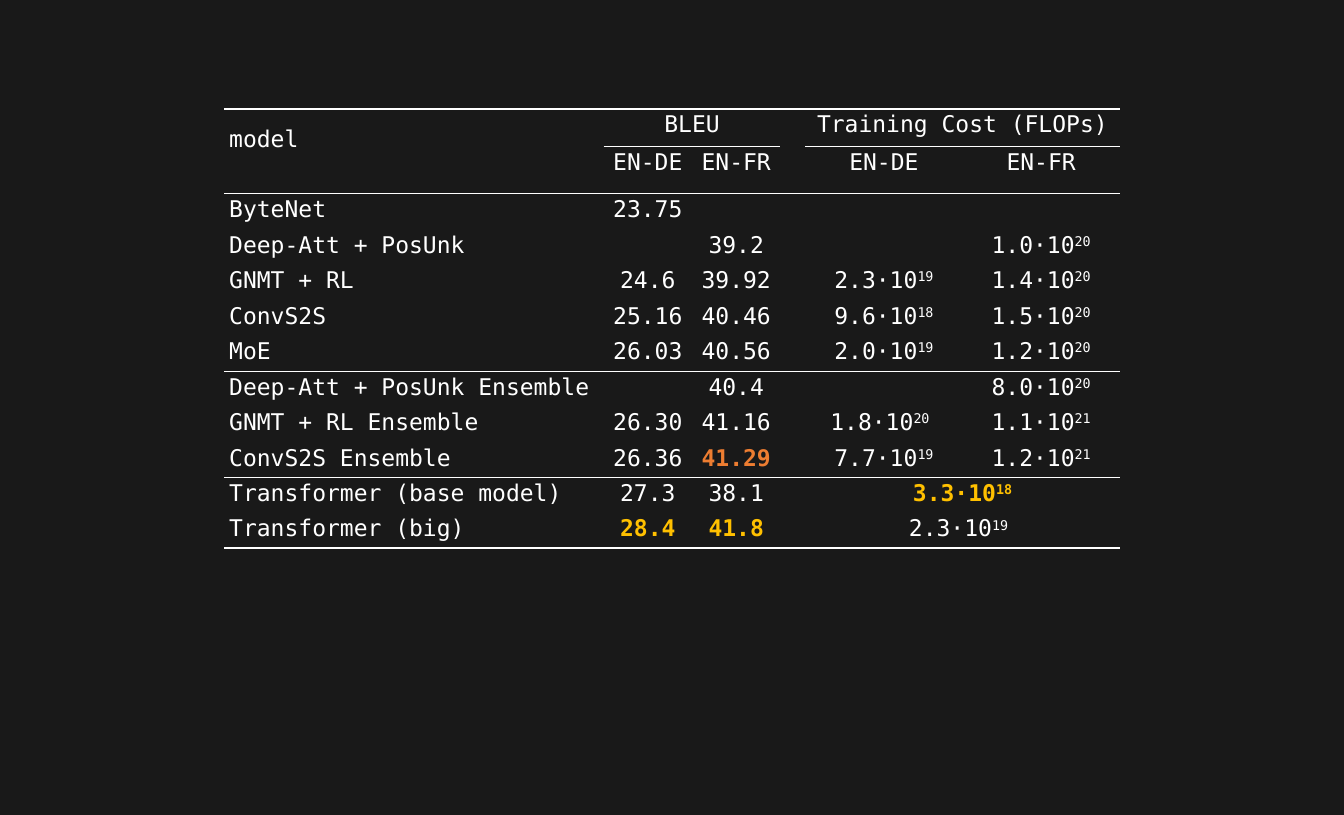
from lxml.etree import SubElement
from pptx import Presentation
from pptx.dml.color import RGBColor
from pptx.enum.text import MSO_ANCHOR as Anchor, PP_ALIGN as Align
from pptx.oxml.ns import qn
from pptx.util import Cm, Pt

COLOURS = {"background": "191919", "text": "FFFFFF", "best": "FFC000", "runner_up": "ED7D31"}
FONT = "DejaVu Sans Mono"
COLUMN_WIDTHS = [18.64, 4.34, 4.34, 1.22, 7.72, 7.72]
ROW_HEIGHTS = [1.87, 2.28] + [1.74] * 10

# Model, BLEU EN-DE, BLEU EN-FR, gap, cost EN-DE, cost EN-FR; ^ starts a superscript
RESULTS = [
    ["model", "BLEU", "", "", "Training Cost (FLOPs)", ""],
    ["", "EN-DE", "EN-FR", "", "EN-DE", "EN-FR"],
    ["ByteNet", "23.75", "", "", "", ""],
    ["Deep-Att + PosUnk", "", "39.2", "", "", "1.0·10^20"],
    ["GNMT + RL", "24.6", "39.92", "", "2.3·10^19", "1.4·10^20"],
    ["ConvS2S", "25.16", "40.46", "", "9.6·10^18", "1.5·10^20"],
    ["MoE", "26.03", "40.56", "", "2.0·10^19", "1.2·10^20"],
    ["Deep-Att + PosUnk Ensemble", "", "40.4", "", "", "8.0·10^20"],
    ["GNMT + RL Ensemble", "26.30", "41.16", "", "1.8·10^20 ", "1.1·10^21"],
    ["ConvS2S Ensemble", "26.36", "41.29", "", "7.7·10^19", "1.2·10^21"],
    ["Transformer (base model)", "27.3", "38.1", "", "3.3·10^18", ""],
    ["Transformer (big)", "28.4", "41.8", "", "2.3·10^19 ", ""],
]
HIGHLIGHTS = {(9, 2): "runner_up", (10, 4): "best", (11, 1): "best", (11, 2): "best"}
MERGES = [((0, 0), (1, 0)), ((0, 1), (0, 2)), ((0, 4), (0, 5)),
          ((10, 4), (10, 5)), ((11, 4), (11, 5))]

# Line widths by the number of rows above the line
RULES = {0: 3, 2: 1.5, 7: 1.5, 10: 3, 12: 3}
GROUP_RULE, GROUP_COLUMNS = 1.5, {1, 2, 4, 5}


def add_border(cell, side, width):
    """Give one side of a cell a line of the width in points, or none for 0."""
    properties = cell._tc.get_or_add_tcPr()
    line = SubElement(properties, qn(f"a:ln{side}"), w=str(Pt(width)))
    if width:
        fill = SubElement(line, qn("a:solidFill"))
        SubElement(fill, qn("a:srgbClr"), val=COLOURS["text"])
    else:
        SubElement(line, qn("a:noFill"))


def add_entry(cell, entry, colour_name):
    """Write a cell's text, with any exponent as a superscript run."""
    for position, part in enumerate(entry.split("^")):
        run = cell.text_frame.paragraphs[0].add_run()
        run.text = part
        run.font.name = FONT
        run.font.size = Pt(32)
        run.font.bold = colour_name != "text"
        run.font.color.rgb = RGBColor.from_string(COLOURS[colour_name])
        if position:
            run.font._element.set("baseline", "30000")


presentation = Presentation()
presentation.slide_width = Cm(65.99)
presentation.slide_height = Cm(40)
slide = presentation.slides.add_slide(presentation.slide_layouts[6])
slide.background.fill.solid()
slide.background.fill.fore_color.rgb = RGBColor.from_string(COLOURS["background"])

comparison = slide.shapes.add_table(
    len(RESULTS), len(COLUMN_WIDTHS), Cm(11), Cm(5.33),
    Cm(sum(COLUMN_WIDTHS)), Cm(sum(ROW_HEIGHTS))).table
comparison.first_row = False
comparison.horz_banding = False
for column, width in zip(comparison.columns, COLUMN_WIDTHS):
    column.width = Cm(width)
for row, height in zip(comparison.rows, ROW_HEIGHTS):
    row.height = Cm(height)
for first, last in MERGES:
    comparison.cell(*first).merge(comparison.cell(*last))

for row_index, entries in enumerate(RESULTS):
    for column_index, entry in enumerate(entries):
        cell = comparison.cell(row_index, column_index)
        rules = dict(RULES)
        if column_index in GROUP_COLUMNS:
            rules[1] = GROUP_RULE
        row_below = row_index + (cell.span_height if cell.is_merge_origin else 1)
        borders = {"L": 0, "R": 0, "T": rules.get(row_index, 0), "B": rules.get(row_below, 0)}
        for side, width in borders.items():
            add_border(cell, side, width)
        cell.fill.background()
        cell.vertical_anchor = Anchor.TOP
        cell.text_frame.paragraphs[0].alignment = Align.CENTER if column_index else Align.LEFT
        if entry:
            add_entry(cell, entry, HIGHLIGHTS.get((row_index, column_index), "text"))

comparison.cell(0, 0).margin_top = Cm(0.87)

presentation.save("out.pptx")
